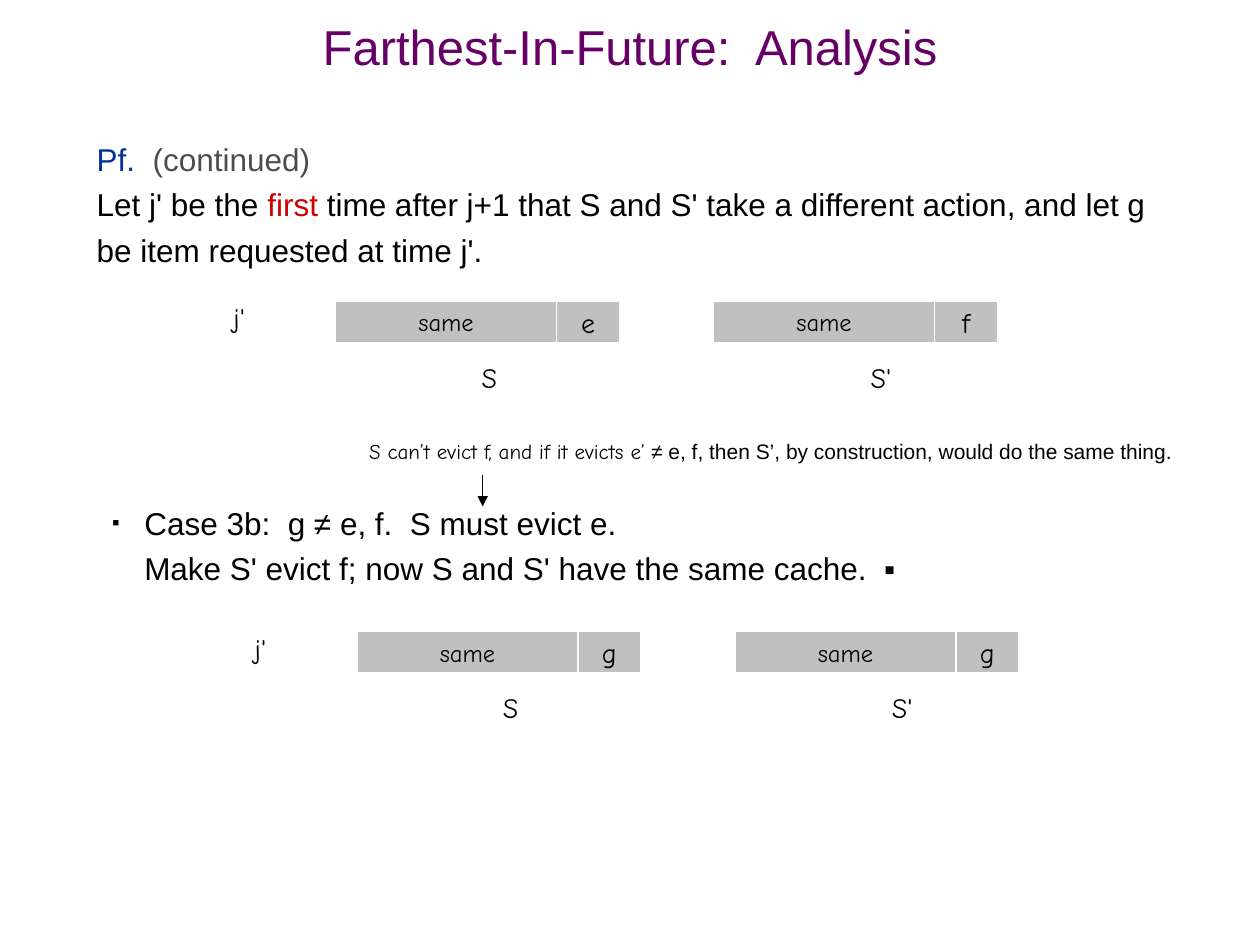
import pptx
import pptx.util
import pptx.dml.color
import pptx.enum.shapes
import pptx.enum.text
import pptx.oxml.ns
import lxml.etree

Cm, Pt = pptx.util.Cm, pptx.util.Pt
ALIGN = pptx.enum.text.PP_ALIGN
ANCHOR = pptx.enum.text.MSO_ANCHOR
SANS, COMIC = "Arial", "Comic Neue"
BLACK, GREY, WHITE = "000000", "C0C0C0", "FFFFFF"

TITLE = "Farthest-In-Future:  Analysis"
BODY = [
    [("Pf.  ", "003399"), ("(continued)", "4D4D4D")],
    [("Let j' be the ", BLACK), ("first", "CC0000"),
     (" time after j+1 that S and S' take a different action, and let g "
      "be item requested at time j'.", BLACK)],
]
CASE = ["Case 3b:  g ≠ e, f.  S must evict e.",
        "Make S' evict f; now S and S' have the same cache.  ▪"]
NOTE = [("S can’t evict f, and if it evicts e’", COMIC),
        (" ≠ e, f, then S’, by construction, would do the same thing.", SANS)]
CACHE_ROWS = [
    {"x": 4.45, "y": 6.07, "items": ("e", "f")},
    {"x": 4.88, "y": 12.73, "items": ("g", "g")},
]
CACHES = [("S", 2.69, 0.91), ("S'", 2.91, 1.12)]
SAME_W, ITEM_W, CELL_H = 4.45, 1.27, 0.84
FIRST_CACHE, CACHE_STEP = 2.32, 7.62
LINE_PT = 26


def rgb(color):
    return pptx.dml.color.RGBColor.from_string(color)


def add_run(p, text, size, font, color=BLACK):
    r = p.add_run()
    r.text = text
    r.font.size, r.font.name = Pt(size), font
    r.font.color.rgb = rgb(color)


def add_text(s, x, y, w, h, wrap=False):
    sp = s.shapes.add_textbox(Cm(x), Cm(y), Cm(w), Cm(h))
    sp.text_frame.word_wrap = wrap
    return sp.text_frame


def add_label(s, text, x, y, w):
    tf = add_text(s, x, y, w, 1.04)
    add_run(tf.paragraphs[0], text, 16, COMIC)


def add_cell(s, text, x, y, w, size):
    sp = s.shapes.add_shape(pptx.enum.shapes.MSO_SHAPE.RECTANGLE,
                            Cm(x), Cm(y), Cm(w), Cm(CELL_H))
    sp.shadow.inherit = False
    sp.fill.solid()
    sp.fill.fore_color.rgb = rgb(GREY)
    sp.line.color.rgb = rgb(WHITE)
    sp.line.width = Pt(0.75)
    tf = sp.text_frame
    tf.word_wrap = False
    tf.vertical_anchor = ANCHOR.MIDDLE
    p = tf.paragraphs[0]
    p.alignment = ALIGN.CENTER
    add_run(p, text, size, COMIC)


def add_cache_row(s, x, y, items):
    add_label(s, "j'", x, y - 0.13, 0.97)
    for i, (item, (name, dx, w)) in enumerate(zip(items, CACHES)):
        left = x + FIRST_CACHE + i * CACHE_STEP
        add_cell(s, "same", left, y, SAME_W, 14)
        add_cell(s, item, left + SAME_W, y, ITEM_W, 16)
        add_label(s, name, left + dx, y + 1.07, w)


def sub(parent, tag, **attrs):
    return lxml.etree.SubElement(parent, pptx.oxml.ns.qn(tag), attrs)


def add_bullet(p):
    pPr = p._p.get_or_add_pPr()
    pPr.set("marL", str(Cm(0.96)))
    pPr.set("indent", str(Cm(-0.64)))
    sub(sub(pPr, "a:buClr"), "a:srgbClr", val=BLACK)
    sub(pPr, "a:buSzPct", val="35000")
    sub(pPr, "a:buFont", typeface=SANS)
    sub(pPr, "a:buChar", char="■")


def add_body(s):
    tf = add_text(s, 1.7, 2.54, 21.8, 15.04, True)
    for i, runs in enumerate(BODY):
        p = tf.add_paragraph() if i else tf.paragraphs[0]
        p.line_spacing = Pt(LINE_PT)
        for text, color in runs:
            add_run(p, text, 18, SANS, color)
    p = tf.add_paragraph()
    p.line_spacing = Pt(LINE_PT)
    p.space_before = Pt(5 * LINE_PT)
    add_bullet(p)
    for i, text in enumerate(CASE):
        if i:
            p.add_line_break()
        add_run(p, text, 18, SANS)


def add_arrow(s, x, top, bottom):
    c = s.shapes.add_connector(pptx.enum.shapes.MSO_CONNECTOR.STRAIGHT,
                               Cm(x), Cm(top), Cm(x), Cm(bottom))
    c.line.color.rgb = rgb(BLACK)
    c.line.width = Pt(0.75)
    sub(c.line._get_or_add_ln(), "a:tailEnd", type="triangle")
    sub(c._element.spPr, "a:effectLst")


def main():
    prs = pptx.Presentation()
    prs.slide_width, prs.slide_height = Cm(25.4), Cm(19.05)
    s = prs.slides.add_slide(prs.slide_layouts[6])

    tf = add_text(s, 0, 0.43, 25.4, 1.27, True)
    tf.vertical_anchor = ANCHOR.MIDDLE
    p = tf.paragraphs[0]
    p.alignment, p.line_spacing = ALIGN.CENTER, 0.7
    add_run(p, TITLE, 28, SANS, "660066")

    add_body(s)
    for row in CACHE_ROWS:
        add_cache_row(s, **row)

    add_arrow(s, 9.73, 9.58, 10.21)
    p = add_text(s, 7.19, 8.71, 17.58, 0.76).paragraphs[0]
    for text, font in NOTE:
        add_run(p, text, 12, font)

    prs.save("out.pptx")


if __name__ == "__main__":
    main()
